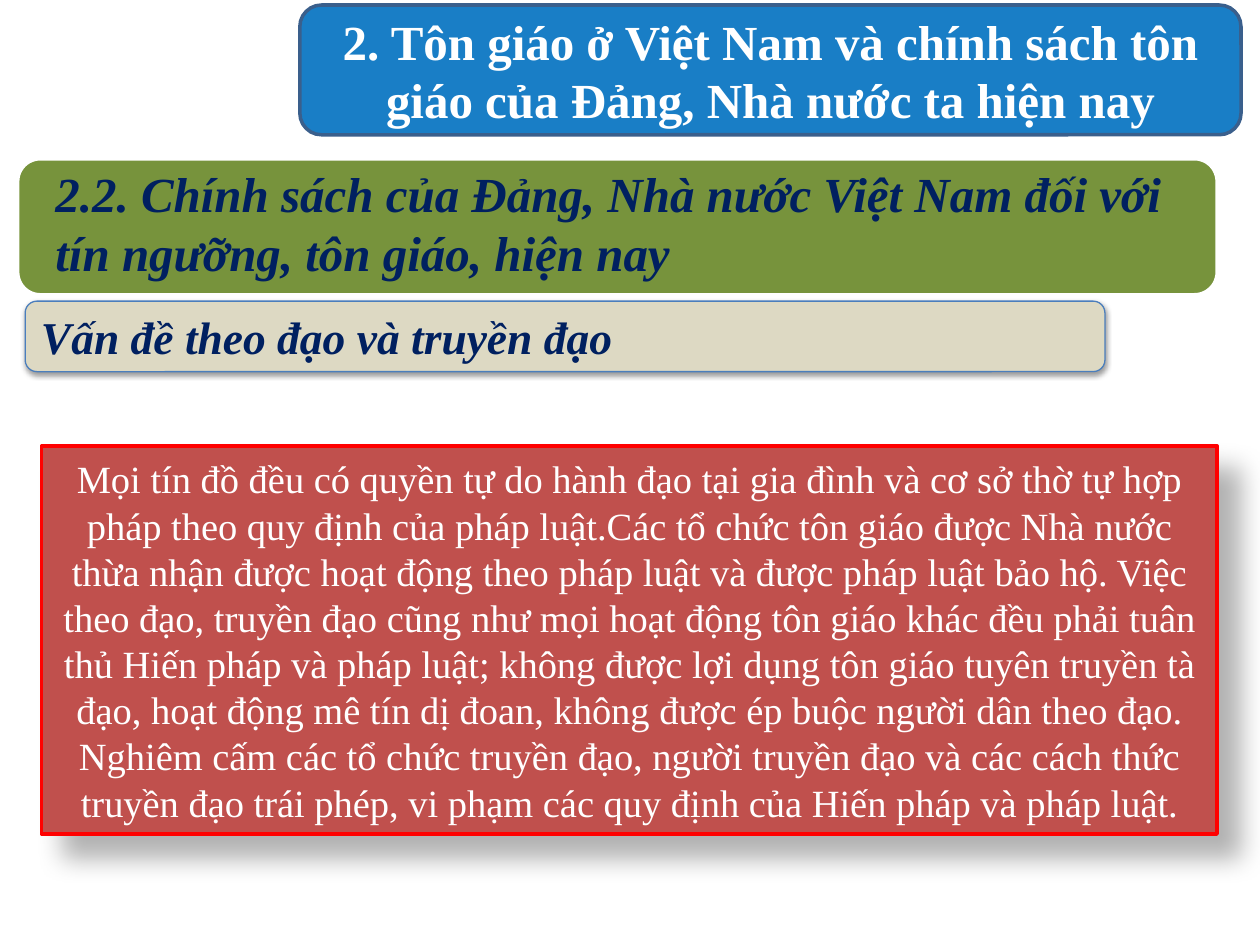
import pptx
import pptx.util
import pptx.dml.color
import pptx.enum.shapes
import pptx.enum.text
import pptx.oxml.ns
from lxml import etree

Inches, Pt = pptx.util.Inches, pptx.util.Pt
SHAPE = pptx.enum.shapes.MSO_SHAPE
ALIGN = pptx.enum.text.PP_ALIGN
qn = pptx.oxml.ns.qn

COLORS = {
    "white": "FFFFFF", "black": "000000", "navy": "002060",
    "blue": "0070C0", "blue_line": "3A5F8C",
    "green": "77933C",
    "beige": "DDD9C3", "beige_line": "4B7EBC",
    "brick": "C0504D", "red": "FF0000",
}

TITLE = "2. Tôn giáo ở Việt Nam và chính sách tôn giáo của Đảng, Nhà nước ta hiện nay"
SECTION = ("2.2. Chính sách của Đảng, Nhà nước Việt Nam đối với "
           "tín ngưỡng, tôn giáo, hiện nay")
TOPIC = "Vấn đề theo đạo và truyền đạo"
BODY = (
    "Mọi tín đồ đều có quyền tự do hành đạo tại gia đình và cơ sở thờ tự hợp pháp "
    "theo quy định của pháp luật.Các tổ chức tôn giáo được Nhà nước thừa nhận được "
    "hoạt động theo pháp luật và được pháp luật bảo hộ. Việc theo đạo, truyền đạo "
    "cũng như mọi hoạt động tôn giáo khác đều phải tuân thủ Hiến pháp và pháp luật; "
    "không được lợi dụng tôn giáo tuyên truyền tà đạo, hoạt động mê tín dị đoan, "
    "không được ép buộc người dân theo đạo. Nghiêm cấm các tổ chức truyền đạo, "
    "người truyền đạo và các cách thức truyền đạo trái phép, vi phạm các quy định "
    "của Hiến pháp và pháp luật."
)


def rgb(name):
    return pptx.dml.color.RGBColor.from_string(COLORS[name])


def add_alpha(color, percent):
    etree.SubElement(color, qn("a:alpha"), val=str(percent * 1000))


def add_panel(shapes, kind, box, fill, line, width):
    s = shapes.add_shape(kind, *map(Inches, box))
    s.shadow.inherit = False
    s.fill.solid()
    s.fill.fore_color.rgb = rgb(fill)
    s.line.color.rgb = rgb(line)
    s.line.width = Pt(width)
    return s


def add_shadow(s, opacity, blur, distance, angle):
    effects = s._element.spPr.find(qn("a:effectLst"))
    shadow = etree.SubElement(
        effects, qn("a:outerShdw"), blurRad=str(Pt(blur)), dist=str(Pt(distance)),
        dir=str(angle * 60000), algn="tl", rotWithShape="0")
    color = etree.SubElement(shadow, qn("a:srgbClr"), val=COLORS["black"])
    add_alpha(color, opacity)


def set_text(s, text, color, align, **font):
    tf = s.text_frame
    tf.word_wrap = True
    tf.vertical_anchor = pptx.enum.text.MSO_ANCHOR.MIDDLE
    p = tf.paragraphs[0]
    p.alignment = align
    r = p.add_run()
    r.text = text
    r.font.color.rgb = rgb(color)
    for name, value in {"name": "Times New Roman", **font}.items():
        setattr(r.font, name, value)
    return tf


def main():
    prs = pptx.Presentation()
    prs.slide_width, prs.slide_height = Inches(10), Inches(7.5)
    shapes = prs.slides.add_slide(prs.slide_layouts[6]).shapes

    # Section heading: green panel with its label
    group = shapes.add_group_shape().shapes
    add_panel(group, SHAPE.ROUNDED_RECTANGLE, (0.14, 1.26, 9.52, 1.08),
              "green", "white", 2)
    label = group.add_textbox(*map(Inches, (0.2, 1.31, 9.4, 0.91)))
    tf = set_text(label, SECTION, "navy", ALIGN.LEFT,
                  size=Pt(28), bold=True, italic=True)
    margins = {"left": 0.24, "top": 0, "right": 0.24, "bottom": 0}
    for side, inset in margins.items():
        setattr(tf, "margin_" + side, Inches(inset))

    # Slide title
    title = add_panel(shapes, SHAPE.ROUNDED_RECTANGLE, (2.38, 0.04, 7.47, 1.03),
                      "blue", "blue_line", 2)
    add_alpha(title._element.spPr.find(qn("a:solidFill"))[0], 90)
    set_text(title, TITLE, "white", ALIGN.CENTER, size=Pt(28), bold=True)

    # Topic bar
    topic = add_panel(shapes, SHAPE.ROUNDED_RECTANGLE, (0.2, 2.39, 8.57, 0.56),
                      "beige", "beige_line", 0.75)
    add_shadow(topic, 38, 3.1, 1.6, 90)
    set_text(topic, TOPIC, "navy", ALIGN.JUSTIFY, size=Pt(26), bold=True, italic=True)

    # Policy statement
    policy = add_panel(shapes, SHAPE.RECTANGLE, (0.33, 3.54, 9.33, 3.08),
                       "brick", "red", 2)
    add_shadow(policy, 30, 15, 18, 45)
    set_text(policy, BODY, "white", ALIGN.CENTER, size=Pt(22))

    prs.save("out.pptx")


if __name__ == "__main__":
    main()
